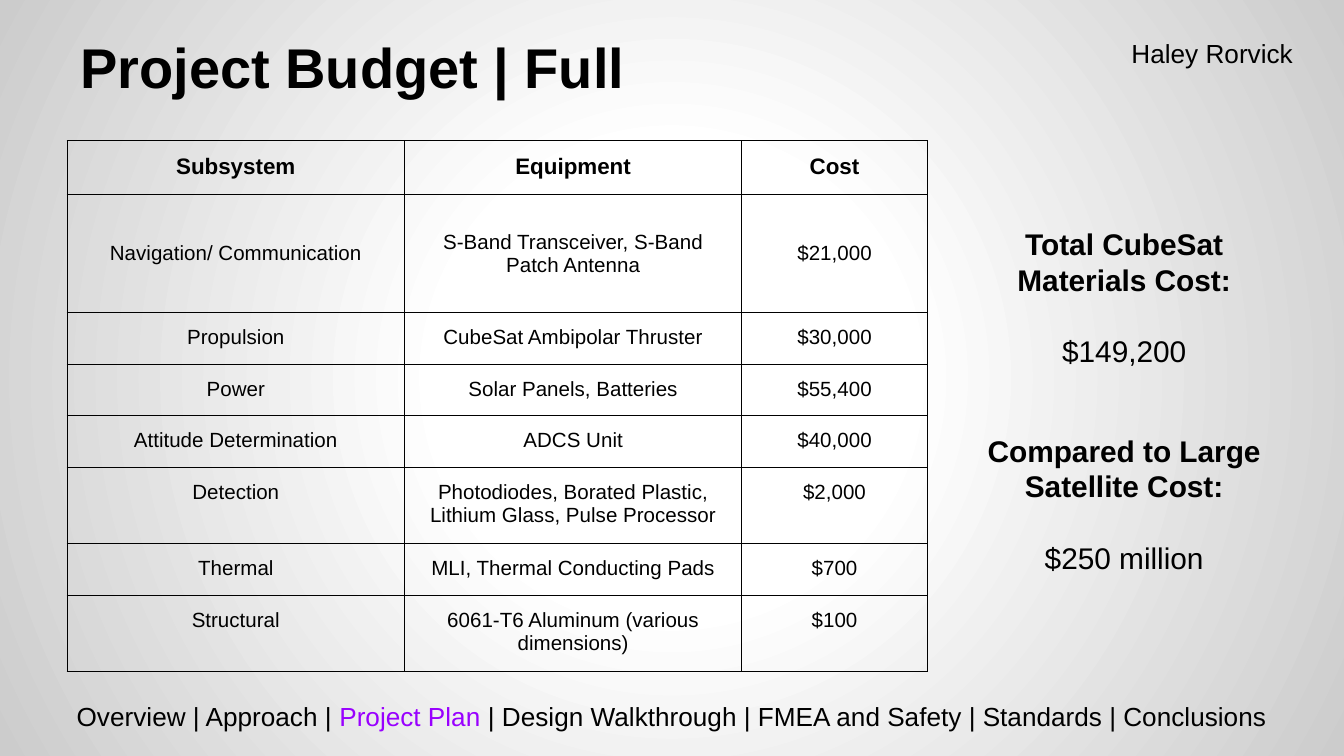
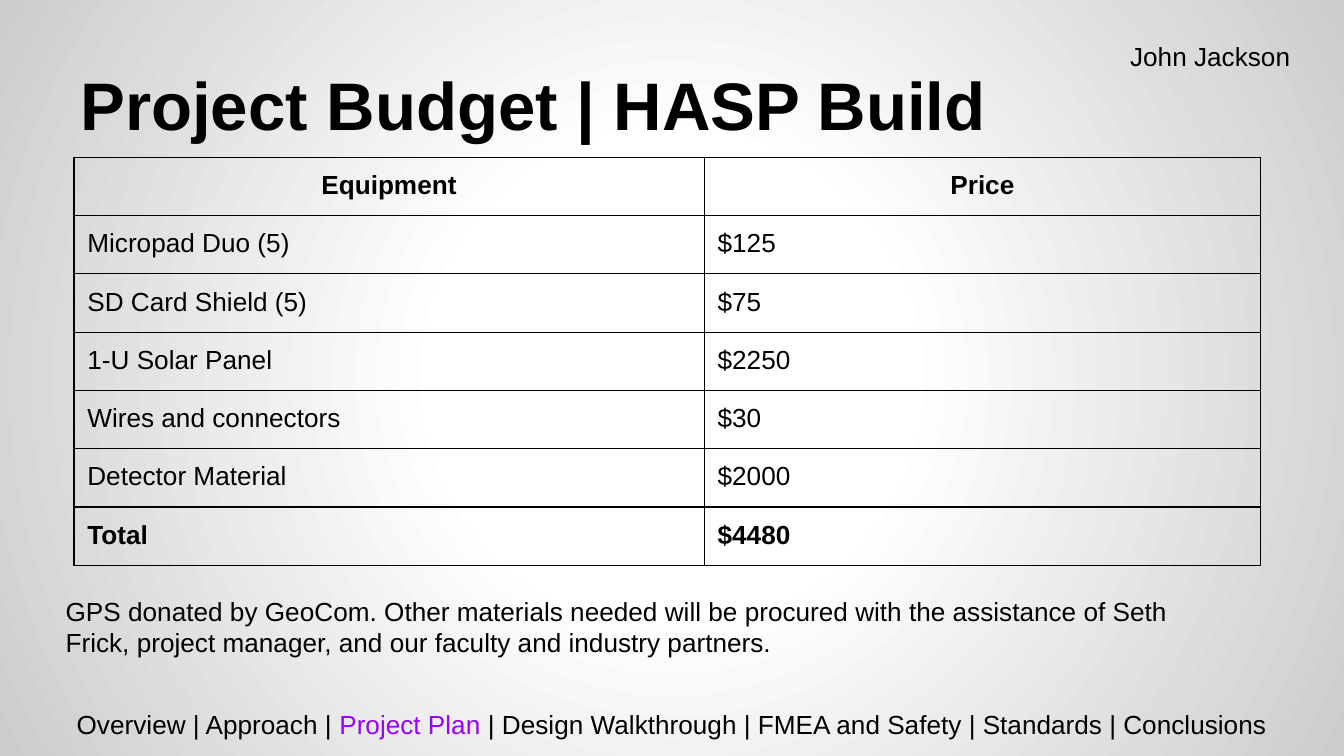
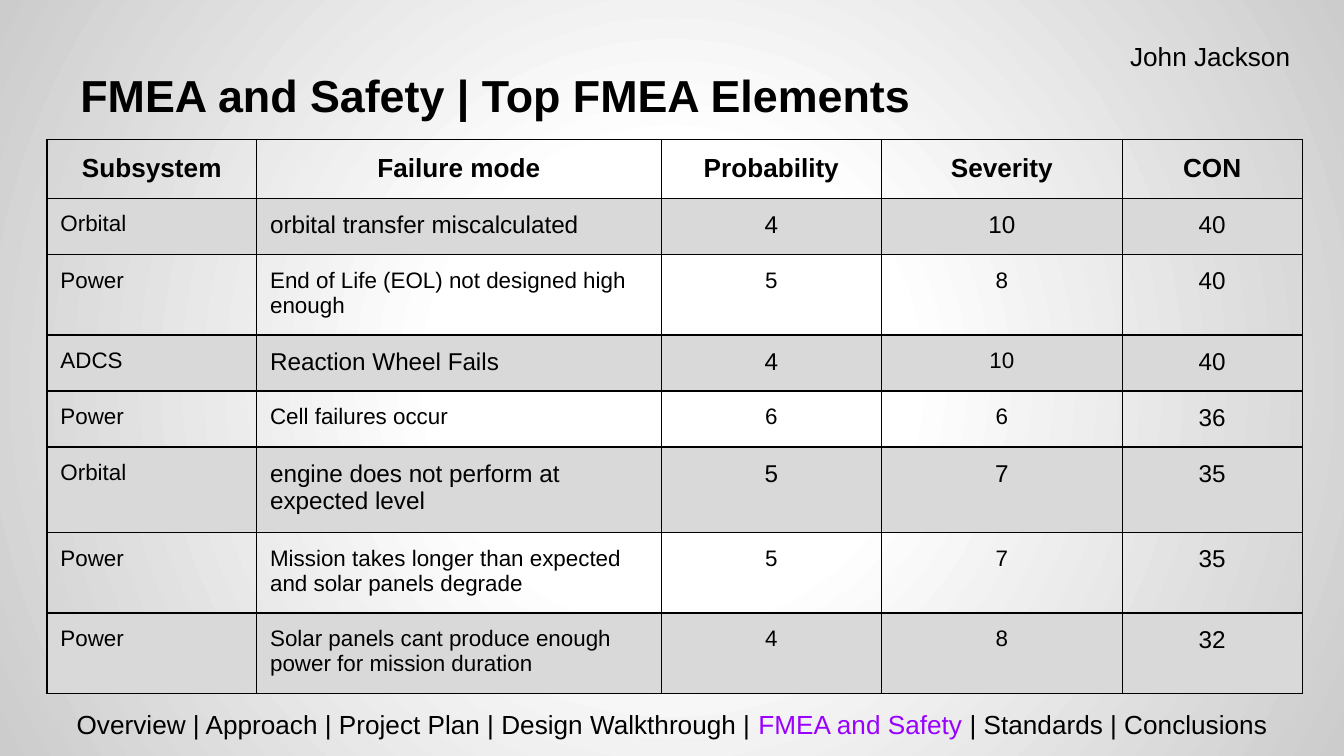
from typing import NamedTuple

from pptx import Presentation
from pptx.dml.color import RGBColor
from pptx.enum.text import MSO_ANCHOR, PP_ALIGN
from pptx.oxml import parse_xml
from pptx.oxml.ns import nsdecls
from pptx.util import Inches, Pt

# Shared look
BLACK = RGBColor(0x00, 0x00, 0x00)
WHITE = RGBColor(0xFF, 0xFF, 0xFF)
SILVER = RGBColor(0xCC, 0xCC, 0xCC)
GREY = RGBColor(0xD9, 0xD9, 0xD9)
PURPLE = RGBColor(0x99, 0x00, 0xFF)
FONT = "Arial"
INSET = Inches(0.1)
WIDTH, HEIGHT = Inches(10), Inches(5.625)
LEFT, MID = PP_ALIGN.LEFT, PP_ALIGN.CENTER
TOPICS = ["Overview", "Approach", "Project Plan", "Design Walkthrough",
          "FMEA and Safety", "Standards", "Conclusions"]


class Area(NamedTuple):
    """Place on the slide, in percent of its width and height."""
    left: float
    top: float
    width: float
    height: float


class Grid(NamedTuple):
    """Table place, column widths and row heights, in percent."""
    left: float
    top: float
    cols: list[float]
    rows: list[float]


class Cell(NamedTuple):
    text: str
    size: float
    bold: bool = False
    align: PP_ALIGN = MID
    anchor: MSO_ANCHOR = MSO_ANCHOR.TOP
    fill: RGBColor | None = None


class Head(NamedTuple):
    """Title, speaker and current topic of a slide."""
    title: str
    size: float
    area: Area
    anchor: MSO_ANCHOR
    name: str
    spot: Area
    topic: str
    foot: float


def wide(share: float) -> int:
    return round(WIDTH * share / 100)


def tall(share: float) -> int:
    return round(HEIGHT * share / 100)


# Text
def put(para, text: str, *, size: float = 14, bold: bool = False,
        hue: RGBColor = BLACK, align: PP_ALIGN = LEFT, gap: float = 0) -> None:
    """Add a run to a paragraph and format both."""
    para.alignment = align
    para.space_before = Pt(gap)
    run = para.add_run()
    run.text = text
    font = run.font
    font.name, font.size, font.bold = FONT, Pt(size), bold
    font.color.rgb = hue


def add_box(slide, area: Area, anchor: MSO_ANCHOR = MSO_ANCHOR.TOP):
    """Add an empty text box and return its frame."""
    box = slide.shapes.add_textbox(wide(area.left), tall(area.top),
                                   wide(area.width), tall(area.height))
    frame = box.text_frame
    frame.word_wrap = True
    frame.vertical_anchor = anchor
    frame.margin_left = frame.margin_right = INSET
    frame.margin_top = frame.margin_bottom = INSET
    return frame


# Slide frame
def paint(slide) -> None:
    """Give the slide a round white to silver background."""
    stops = "".join(f'<a:gs pos="{pos * 1000}"><a:srgbClr val="{hue}"/></a:gs>'
                    for pos, hue in ((0, WHITE), (30, WHITE), (100, SILVER)))
    slide.element.cSld.insert(0, parse_xml(
        f'<p:bg {nsdecls("p", "a")}><p:bgPr><a:gradFill><a:gsLst>{stops}</a:gsLst>'
        '<a:path path="circle"><a:fillToRect l="50000" t="50000" r="50000" b="50000"/>'
        '</a:path></a:gradFill><a:effectLst/></p:bgPr></p:bg>'))


def add_page(deck, head: Head):
    slide = deck.slides.add_slide(deck.slide_layouts[6])
    paint(slide)
    # Footer with the current topic marked
    para = add_box(slide, Area(0, head.foot, 100, 8)).paragraphs[0]
    at = TOPICS.index(head.topic)
    put(para, " | ".join(TOPICS[:at]) + " | ", align=MID)
    put(para, head.topic, hue=PURPLE, align=MID)
    put(para, " | " + " | ".join(TOPICS[at + 1:]), align=MID)
    # Title and speaker
    put(add_box(slide, head.area, head.anchor).paragraphs[0], head.title,
        size=head.size, bold=True)
    put(add_box(slide, head.spot).paragraphs[0], head.name)
    return slide


# Tables
def edge(cell) -> None:
    """Draw thin black lines on all four sides of a cell."""
    props = cell._tc.get_or_add_tcPr()
    for spot, side in enumerate(("lnL", "lnR", "lnT", "lnB")):
        props.insert(spot, parse_xml(
            f'<a:{side} {nsdecls("a")} w="{Pt(0.75)}"><a:solidFill>'
            f'<a:srgbClr val="{BLACK}"/></a:solidFill></a:{side}>'))


def add_grid(slide, grid: Grid, cells: list[list[Cell]]) -> None:
    table = slide.shapes.add_table(
        len(grid.rows), len(grid.cols), wide(grid.left), tall(grid.top),
        wide(sum(grid.cols)), tall(sum(grid.rows))).table
    table.first_row = table.horz_banding = False
    for col, share in zip(table.columns, grid.cols):
        col.width = wide(share)
    for row, share, items in zip(table.rows, grid.rows, cells):
        row.height = tall(share)
        for cell, item in zip(row.cells, items):
            cell.margin_left = cell.margin_right = INSET
            cell.margin_top = cell.margin_bottom = INSET
            cell.vertical_anchor = item.anchor
            if item.fill is None:
                cell.fill.background()
            else:
                cell.fill.solid()
                cell.fill.fore_color.rgb = item.fill
            edge(cell)
            put(cell.text_frame.paragraphs[0], item.text, size=item.size,
                bold=item.bold, align=item.align)


def top_row(size: float, *names: str) -> list[Cell]:
    return [Cell(name, size, bold=True) for name in names]


# Full budget
def full_plan(deck) -> None:
    slide = add_page(deck, Head(
        "Project Budget | Full", 30, Area(5, 5.7, 43.8, 9.24), MSO_ANCHOR.BOTTOM,
        "Haley Rorvick", Area(83.2, 3.2, 14.6, 8), "Project Plan", 90.84))
    costs = [
        ("Navigation/ Communication", "S-Band Transceiver, S-Band Patch Antenna",
         "$21,000"),
        ("Propulsion", "CubeSat Ambipolar Thruster", "$30,000"),
        ("Power", "Solar Panels, Batteries", "$55,400"),
        ("Attitude Determination", "ADCS Unit", "$40,000"),
        ("Detection", "Photodiodes, Borated Plastic, Lithium Glass, Pulse Processor",
         "$2,000"),
        ("Thermal", "MLI, Thermal Conducting Pads", "$700"),
        ("Structural", "6061-T6 Aluminum (various dimensions)", "$100"),
    ]
    cells = [top_row(12, "Subsystem", "Equipment", "Cost")]
    for spot, row in enumerate(costs):
        anchor = MSO_ANCHOR.TOP if spot else MSO_ANCHOR.MIDDLE
        cells.append([Cell(text, 11, anchor=anchor) for text in row])
    add_grid(slide, Grid(5, 18.6, [25.1, 25.1, 13.8],
                         [6.58, 15.65] + [6.58] * 5 + [8.71]), cells)
    # Cost summary
    frame = add_box(slide, Area(72.3, 28.1, 22.7, 59.2))
    para = frame.paragraphs[0]
    put(para, "Total CubeSat Materials Cost:", size=16, bold=True, align=MID)
    for text, bold, gap in (("$149,200", False, 19),
                            ("Compared to Large Satellite Cost:", True, 34),
                            ("$250 million", False, 19)):
        put(frame.add_paragraph(), text, size=16, bold=bold, align=MID, gap=gap)


# Build budget
def build_plan(deck) -> None:
    slide = add_page(deck, Head(
        "Project Budget | HASP Build", 36, Area(5, 4.1, 90, 16.7), MSO_ANCHOR.BOTTOM,
        "John Jackson", Area(83.1, 3.56, 16.9, 8), "Project Plan", 91.9))
    costs = [("Micropad Duo (5)", "$125"), ("SD Card Shield (5)", "$75"),
             ("1-U Solar Panel", "$2250"), ("Wires and connectors", "$30"),
             ("Detector Material", "$2000"), ("Total", "$4480")]
    cells = [top_row(14, "Equipment", "Price")]
    cells += [[Cell(text, 14, row[0] == "Total", LEFT) for text in row]
              for row in costs]
    add_grid(slide, Grid(5.5, 20.8, [46.9, 41.4], [7.36] * 7), cells)
    note = add_box(slide, Area(3.9, 76.98, 88.3, 11.56))
    put(note.paragraphs[0],
        "GPS donated by GeoCom. Other materials needed will be procured with the "
        "assistance of Seth Frick, project manager, and our faculty and industry "
        "partners.")


# Failure modes
def risk_list(deck) -> None:
    slide = add_page(deck, Head(
        "FMEA and Safety | Top FMEA Elements", 24, Area(5, 4.1, 90, 16.7),
        MSO_ANCHOR.MIDDLE, "John Jackson", Area(83.1, 3.56, 16.9, 8),
        "FMEA and Safety", 91.9))
    sizes = {"Orbital": (12, 13, 13, 13, 13), "Power": (12, 12, 12, 12, 13),
             "ADCS": (12, 13, 13, 12, 13)}
    risks = [
        ("Orbital", "orbital transfer miscalculated", 4, 10),
        ("Power", "End of Life (EOL) not designed high enough", 5, 8),
        ("ADCS", "Reaction Wheel Fails", 4, 10),
        ("Power", "Cell failures occur", 6, 6),
        ("Orbital", "engine does not perform at expected level", 5, 7),
        ("Power", "Mission takes longer than expected and solar panels degrade", 5, 7),
        ("Power", "Solar panels cant produce enough power for mission duration", 4, 8),
    ]
    cells = [top_row(14, "Subsystem", "Failure mode", "Probability", "Severity", "CON")]
    for spot, (part, mode, odds, harm) in enumerate(risks):
        fill = None if spot % 2 else GREY
        row = (part, mode, odds, harm, odds * harm)
        cells.append([
            Cell(str(item), size, align=LEFT if isinstance(item, str) else MID,
                 fill=fill)
            for item, size in zip(row, sizes[part])])
    add_grid(slide, Grid(3.5, 18.5, [15.6, 30.1, 16.4, 17.9, 13.4], [7.41] * 8), cells)


def main() -> None:
    deck = Presentation()
    deck.slide_width, deck.slide_height = WIDTH, HEIGHT
    full_plan(deck)
    build_plan(deck)
    risk_list(deck)
    deck.save("out.pptx")


if __name__ == "__main__":
    main()
